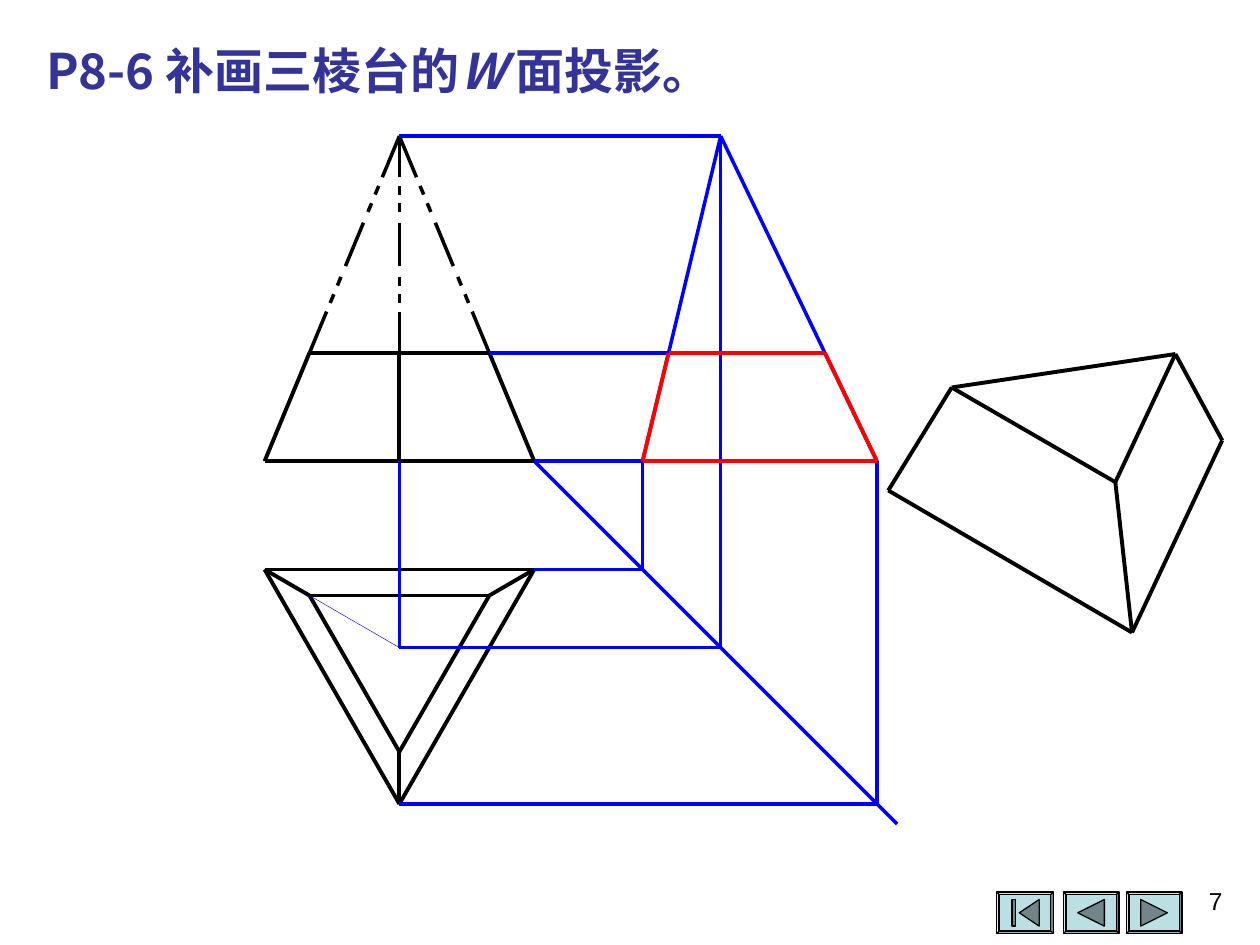
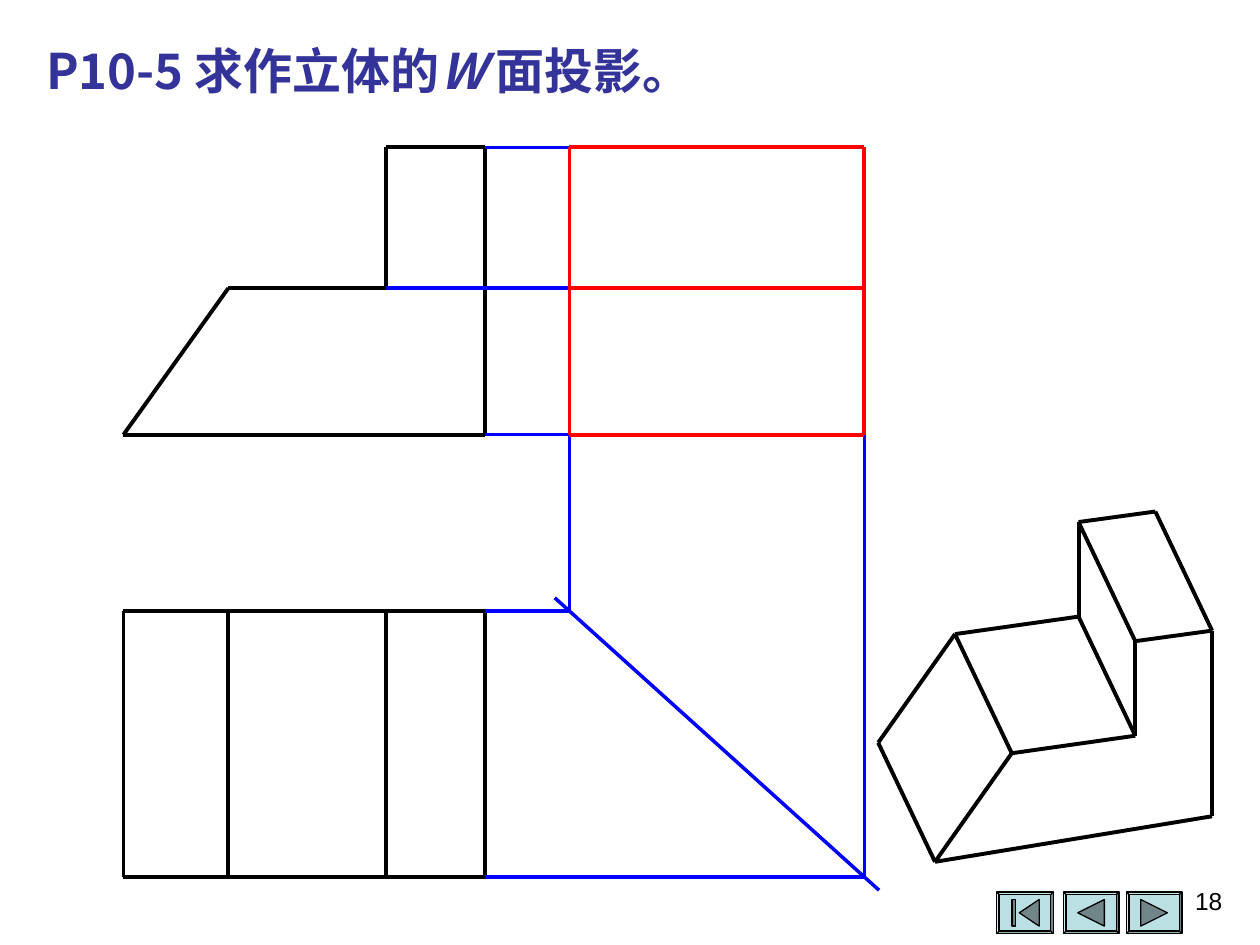
import lxml.etree
import pptx
import pptx.dml.color
import pptx.enum.shapes
import pptx.enum.text
import pptx.oxml.ns
import pptx.util

COLS, ROWS = 1000, 750
WIDE, HIGH = pptx.util.Inches(10), pptx.util.Inches(7.5)
HUES = {"ink": "000000", "ray": "0000FF", "new": "FF0000",
        "head": "333399", "key": "BBE0E3", "icon": "708688"}
FONTS = {"head": "Noto Sans CJK SC", "page": "Arial"}
THICK, THIN, HAIR = 2.25, 0.25, 0
DASHES = [(0, .19), (.23, .27), (.31, .35), (.4, .6),
          (.65, .69), (.73, .77), (.81, 1)]
KEYS = [
    (791, 45, [[(.4, .5), (.75, .18), (.75, .82)],
               [(.27, .18), (.33, .18), (.33, .82), (.27, .82)]]),
    (844, 44, [[(.26, .5), (.74, .18), (.74, .82)]]),
    (894, 44, [[(.26, .18), (.74, .5), (.26, .82)]]),
]


def hue(name):
    """Return the named colour."""
    return pptx.dml.color.RGBColor.from_string(HUES[name])


def emu(point):
    """Turn grid columns and rows into slide lengths."""
    return round(point[0] * WIDE / COLS), round(point[1] * HIGH / ROWS)


def at(box, u, v):
    """Return the grid point at shares u and v of a box."""
    left, top, wide, high = box
    return left + u * wide, top + v * high


def spot(box, shares):
    """Return the grid points for a list of shares of a box."""
    return [at(box, u, v) for u, v in shares]


def mix(start, end, share):
    """Return the point a share of the way from start to end."""
    return tuple(a + (b - a) * share for a, b in zip(start, end))


def cross(over, beside):
    """Return the point below one point and level with another."""
    return over[0], beside[1]


def draw(slide, points, tint="ink", width=THICK):
    """Join the points in turn with straight lines."""
    for start, end in zip(points, points[1:]):
        line = slide.shapes.add_connector(
            pptx.enum.shapes.MSO_CONNECTOR.STRAIGHT, *emu(start), *emu(end))
        line.line.color.rgb = hue(tint)
        line.line.width = pptx.util.Pt(width)
        lxml.etree.SubElement(line._element.spPr, pptx.oxml.ns.qn("a:effectLst"))


def ray(slide, *points):
    """Draw a fine projection line."""
    draw(slide, points, "ray", HAIR)


def chain(slide, start, end):
    """Draw a long and short dashed line."""
    for near, far in DASHES:
        draw(slide, [mix(start, end, near), mix(start, end, far)], "ink", HAIR)


def paint(shape, fill):
    """Give a shape its fill and thin outline."""
    shape.shadow.inherit = False
    shape.fill.solid()
    shape.fill.fore_color.rgb = hue(fill)
    shape.line.color.rgb = hue("ink")
    shape.line.width = pptx.util.Pt(.75)


def write(slide, box, runs, font, size, tint, bold=False, side="LEFT"):
    """Place a text box made of plain and slanted runs."""
    area = slide.shapes.add_textbox(*emu(box[:2]), *emu(box[2:]))
    frame = area.text_frame
    frame.word_wrap = True
    para = frame.paragraphs[0]
    para.alignment = getattr(pptx.enum.text.PP_ALIGN, side)
    for text, slant in runs:
        run = para.add_run()
        run.text = text
        run.font.name = FONTS[font]
        run.font.size = pptx.util.Pt(size)
        run.font.bold = bold
        run.font.italic = slant
        run.font.color.rgb = hue(tint)
        east = lxml.etree.SubElement(run.font._element, pptx.oxml.ns.qn("a:ea"))
        east.set("typeface", FONTS[font])
    return frame


def button(slide, box, icon):
    """Draw a bevelled button with its icon."""
    bevel = slide.shapes.add_shape(
        pptx.enum.shapes.MSO_SHAPE.BEVEL, *emu(box[:2]), *emu(box[2:]))
    bevel.adjustments[0] = .06
    paint(bevel, "key")
    for shares in icon:
        points = [emu(point) for point in spot(box, shares)]
        pen = slide.shapes.build_freeform(*points[0], scale=1)
        pen.add_line_segments(points[1:], close=True)
        paint(pen.convert_to_shape(), "icon")


def base(deck, lead, page):
    """Start a slide with title, buttons and page number."""
    slide = deck.slides.add_slide(deck.slide_layouts[6])
    for left, wide, icon in KEYS:
        button(slide, (left, 708, wide, 33), icon)
    runs = [(lead, False), ("W ", True), ("面投影。", False)]
    frame = write(slide, (27, 27, 953, 57), runs, "head", 28, "head", True)
    frame.auto_size = pptx.enum.text.MSO_AUTO_SIZE.SHAPE_TO_FIT_TEXT
    write(slide, (747, 698, 233, 52), [(page, False)], "page", 14, "ink",
          side="RIGHT")
    return slide


def slab(slide, box, apex, tint):
    """Draw a pyramid cut at a third of its height, seen upright."""
    draw(slide, spot(box, [(0, 1), (apex / 3, 0), (1 - (1 - apex) / 3, 0),
                           (1, 1), (0, 1)]), tint)


def nest(slide, box):
    """Draw the cut pyramid seen from above."""
    outer = spot(box, [(0, 0), (1, 0), (.5, 1)])
    inner = [mix(point, at(box, .5, 1 / 3), 1 / 3) for point in outer]
    for ring in (outer, inner):
        draw(slide, ring + ring[:1])
    for pair in zip(outer, inner):
        draw(slide, pair)


def stump(slide, box):
    """Draw the cut pyramid as a solid."""
    a, b, c, d, e, f = spot(box, [(0, .49), (.19, .12), (.68, .46),
                                  (.86, 0), (.73, 1), (1, .31)])
    for points in ([a, b, d, f, e, a], [b, c, d], [c, e]):
        draw(slide, points)


def cone_rays(slide, front, plan, side):
    """Draw the projection lines between the pyramid views."""
    peak, tip = at(front, .5, -2), at(side, 1 / 3, -2)
    core, foot = at(plan, .5, 1 / 3), at(front, 1, 1)
    near, far = at(side, 0, 1), at(side, 1, 1)
    back, nose = at(plan, 1, 0), at(plan, .5, 1)
    for u in (1 / 6, .5, 5 / 6):
        chain(slide, at(front, u, 0), peak)
    ray(slide, foot, (foot[0] + 288, foot[1] + 288))
    ray(slide, back, cross(near, back), near)
    ray(slide, nose, cross(far, nose), far)
    ray(slide, peak, tip)
    ray(slide, at(front, 5 / 6, 0), at(side, 7 / 9, 0))
    ray(slide, foot, far)
    ray(slide, at(front, .5, 1), core, cross(tip, core), tip)
    ray(slide, near, tip, far)
    draw(slide, [at(plan, 1 / 6, 1 / 9), core], "ray", THIN)


def step(slide, box, ramp, wall, floor):
    """Draw the front view of the stepped block."""
    draw(slide, spot(box, [(0, 1), (ramp, floor), (wall, floor), (wall, 0),
                           (1, 0), (1, 1), (0, 1)]))


def pane(slide, box, cuts, tint):
    """Draw a rectangle and the lines that cut it."""
    draw(slide, spot(box, [(0, 0), (1, 0), (1, 1), (0, 1), (0, 0)]), tint)
    for cut in cuts:
        draw(slide, spot(box, cut), tint)


def block(slide, box):
    """Draw the stepped block as a solid."""
    near = [(.17, 1), (.4, .69), (.77, .64), (.77, .37), (1, .34), (1, .87)]
    far = [(u - .17, v - .34) for u, v in near[:5]]
    draw(slide, spot(box, near + near[:1]))
    draw(slide, spot(box, far))
    for pair in zip(near, far):
        draw(slide, spot(box, pair))


def block_rays(slide, front, plan, side, wall, floor):
    """Draw the projection lines between the block views."""
    for v in (0, 1):
        edge, top = at(plan, 1, v), at(side, v, 0)
        ray(slide, edge, cross(top, edge), top)
    for u, v in ((1, 0), (1, 1), (wall, floor)):
        ray(slide, at(front, u, v), at(side, 1, v))
    turn = (side[0], plan[1], side[2], plan[3])
    ray(slide, at(turn, -.05, -.05), at(turn, 1.05, 1.05))


def cone_page(deck):
    """Build the slide on the cut pyramid."""
    slide = base(deck, "P8-6 补画三棱台的", "7")
    front, plan = (210, 280, 214, 86), (210, 452, 214, 186)
    side = (510, 280, 186, 86)
    slab(slide, front, .5, "ink")
    draw(slide, spot(front, [(.5, 0), (.5, 1)]))
    nest(slide, plan)
    stump(slide, (705, 281, 265, 221))
    cone_rays(slide, front, plan, side)
    slab(slide, side, 1 / 3, "new")


def block_page(deck):
    """Build the slide on the stepped block."""
    slide = base(deck, "P10-5 求作立体的", "18")
    front, plan = (98, 117, 287, 228), (98, 485, 287, 211)
    side = (452, 117, 234, 228)
    ramp, wall, floor = .29, 8 / 11, .49
    step(slide, front, ramp, wall, floor)
    pane(slide, plan, [[(u, 0), (u, 1)] for u in (ramp, wall)], "ink")
    block(slide, (697, 406, 265, 278))
    block_rays(slide, front, plan, side, wall, floor)
    pane(slide, side, [[(0, floor), (1, floor)]], "new")


def main():
    """Build and save the deck."""
    deck = pptx.Presentation()
    deck.slide_width, deck.slide_height = WIDE, HIGH
    cone_page(deck)
    block_page(deck)
    deck.save("out.pptx")


if __name__ == "__main__":
    main()
